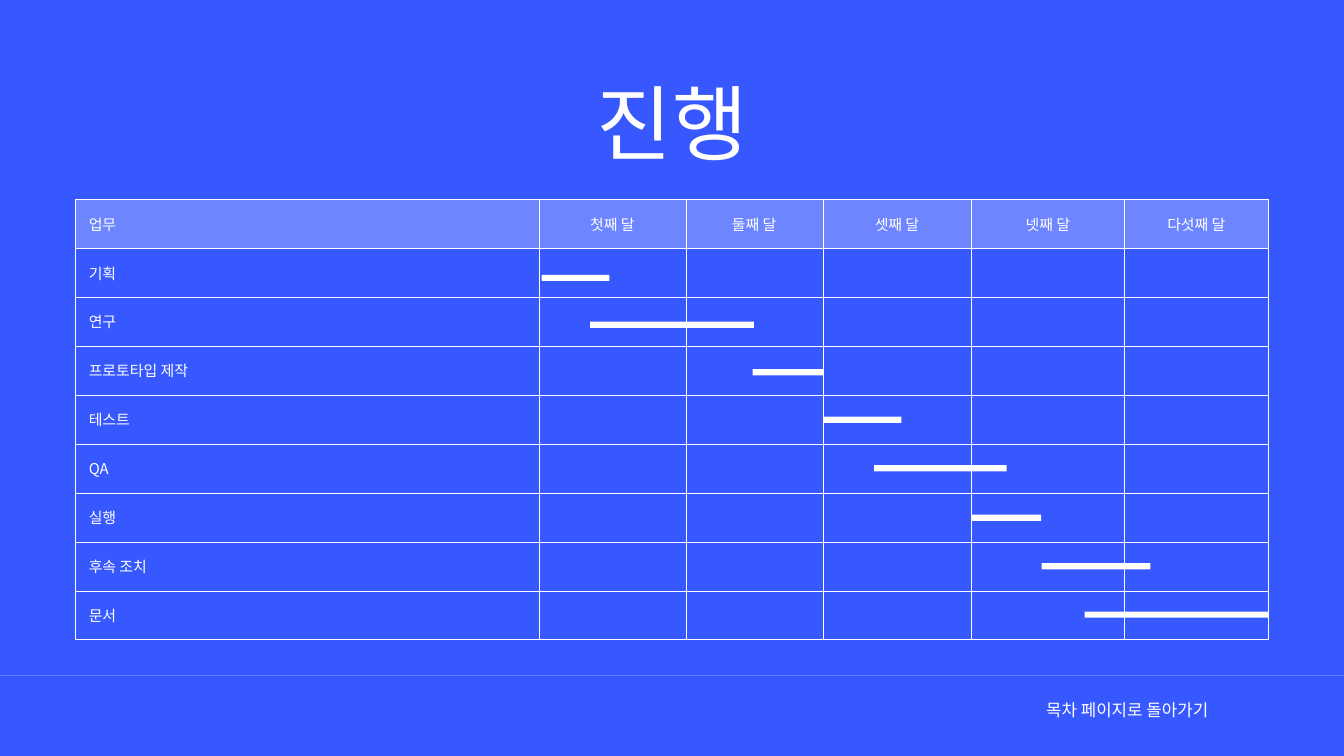
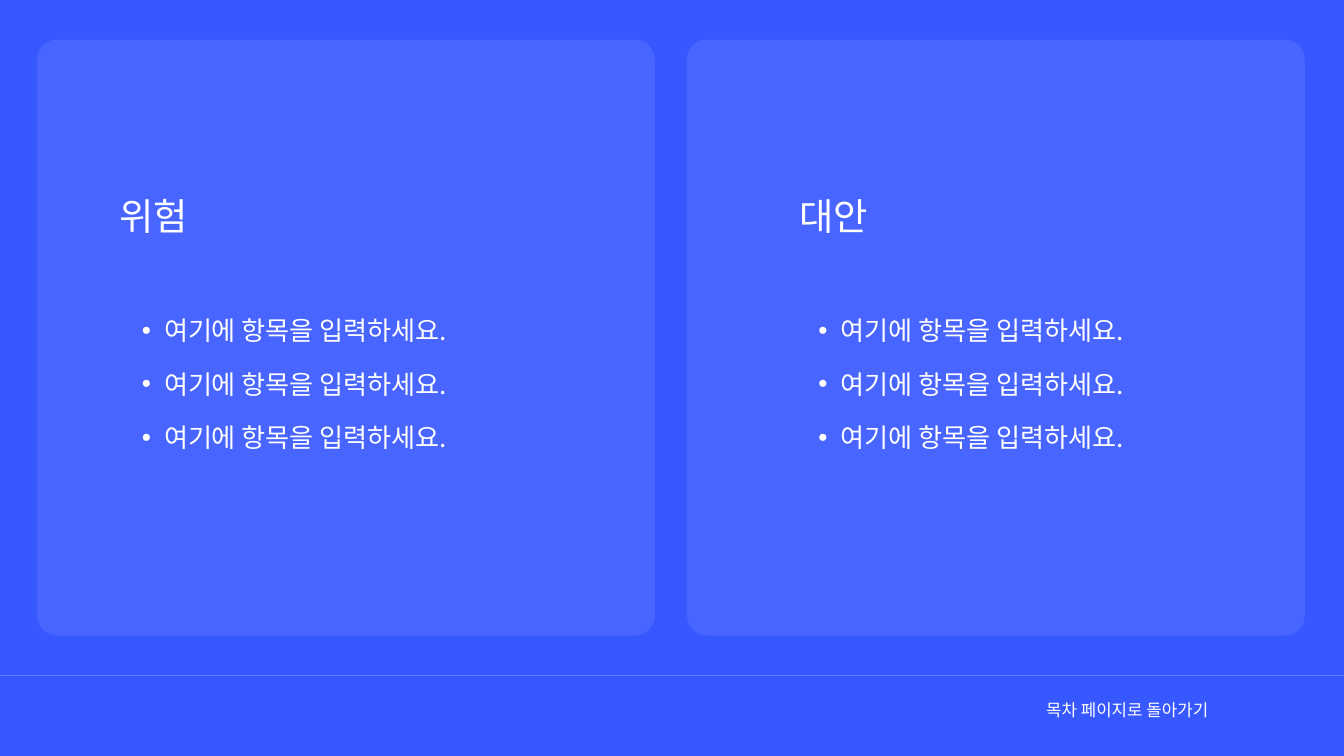
from lxml import etree
from pptx import Presentation
from pptx.dml.color import RGBColor
from pptx.enum.shapes import MSO_CONNECTOR, MSO_SHAPE
from pptx.enum.text import MSO_ANCHOR, MSO_AUTO_SIZE, PP_ALIGN
from pptx.oxml.ns import qn
from pptx.util import Pt

LEFT, CENTER, RIGHT = PP_ALIGN.LEFT, PP_ALIGN.CENTER, PP_ALIGN.RIGHT
MIDDLE, TOP = MSO_ANCHOR.MIDDLE, MSO_ANCHOR.TOP
GROW = MSO_AUTO_SIZE.SHAPE_TO_FIT_TEXT
STRAIGHT = MSO_CONNECTOR.STRAIGHT
RECTANGLE, ROUNDED = MSO_SHAPE.RECTANGLE, MSO_SHAPE.ROUNDED_RECTANGLE

COLORS = {
    name: RGBColor.from_string(value)
    for name, value in {"blue": "3858FF", "light": "6D85FF", "white": "FFFFFF"}.items()
}
MAIN_FONT = "Calibri"
KOREAN_FONT = "Noto Sans CJK KR"


def style_text(paragraph, size, spacing, alignment=LEFT, font_name=MAIN_FONT):
    paragraph.alignment = alignment
    paragraph.line_spacing = Pt(spacing)
    for run in paragraph.runs:
        run.font.size = Pt(size)
        run.font.bold = False
        run.font.name = font_name
        run.font.color.rgb = COLORS["white"]
        east_asian = etree.Element(qn("a:ea"), typeface=KOREAN_FONT)
        run.font._element.find(qn("a:latin")).addnext(east_asian)


def place_text(shape, left, top, width, height):
    shape.left, shape.top, shape.width, shape.height = Pt(left), Pt(top), Pt(width), Pt(height)
    frame = shape.text_frame
    frame.margin_left = frame.margin_top = frame.margin_right = frame.margin_bottom = 0
    frame.word_wrap = True
    frame.vertical_anchor = TOP
    frame.auto_size = GROW
    return frame


presentation = Presentation()
presentation.slide_width, presentation.slide_height = Pt(1440), Pt(810)
background = presentation.slide_master.background.fill
background.solid()
background.fore_color.rgb = COLORS["blue"]

schedule_slide = presentation.slides.add_slide(presentation.slide_layouts.get_by_name("Title Only"))
risk_slide = presentation.slides.add_slide(presentation.slide_layouts.get_by_name("Comparison"))

for slide in presentation.slides:
    rule = slide.shapes.add_connector(STRAIGHT, 0, Pt(723.6), Pt(1440), Pt(723.6))
    rule.line.width = Pt(0.75)
    rule.line.color.rgb = COLORS["white"]
    rule_color = next(rule._element.iter(qn("a:srgbClr")))
    etree.SubElement(rule_color, qn("a:alpha"), val="34000")
    etree.SubElement(rule._element.spPr, qn("a:effectLst"))
    footer = place_text(slide.shapes.add_textbox(0, 0, 0, 0), 1050.5, 746.6, 244, 25.2)
    footer.text = "목차 페이지로 돌아가기"
    style_text(footer.paragraphs[0], 18, 25.2, RIGHT)

title = place_text(schedule_slide.shapes.title, 380.9, 68.4, 679, 115.2)
title.text = "진행"
style_text(title.paragraphs[0], 88, 114.4, CENTER)

headers = ["업무", "첫째 달", "둘째 달", "셋째 달", "넷째 달", "다섯째 달"]
tasks = ["기획", "연구", "프로토타입 제작", "테스트", "QA", "실행", "후속 조치", "문서"]
column_widths = [497, 157, 146.8, 159.2, 164, 154.4]
row_height = 52.4
row_count, column_count = len(tasks) + 1, len(headers)
table = schedule_slide.shapes.add_table(
    row_count, column_count, Pt(80.7), Pt(213.8),
    Pt(sum(column_widths)), Pt(row_height * row_count),
).table
table.first_row = table.horz_banding = False
for column, width in zip(table.columns, column_widths):
    column.width = Pt(width)

for row_index in range(row_count):
    table.rows[row_index].height = Pt(row_height)
    for column_index in range(column_count):
        cell = table.cell(row_index, column_index)
        outer_edges = {
            "a:lnL": column_index == 0,
            "a:lnR": column_index == column_count - 1,
            "a:lnT": row_index == 0,
            "a:lnB": row_index == row_count - 1,
        }
        properties = cell._tc.get_or_add_tcPr()
        for tag, is_outer in outer_edges.items():
            border = etree.SubElement(properties, qn(tag), w=str(Pt(0.69 if is_outer else 0.4)))
            border_fill = etree.SubElement(border, qn("a:solidFill"))
            etree.SubElement(border_fill, qn("a:srgbClr"), val=str(COLORS["white"]))
        cell.fill.solid()
        cell.fill.fore_color.rgb = COLORS["light" if row_index == 0 else "blue"]
        if row_index > 0 and column_index > 0:
            continue
        label = headers[column_index] if row_index == 0 else tasks[row_index - 1]
        cell.text_frame.text = label
        cell.vertical_anchor = MIDDLE
        cell.margin_left = cell.margin_right = cell.margin_top = cell.margin_bottom = Pt(14.4)
        style_text(
            cell.text_frame.paragraphs[0], 16, 22.4,
            CENTER if column_index else LEFT,
            KOREAN_FONT if label == "QA" else MAIN_FONT,
        )

task_bars = [
    (580.3, 294.5, 72.7),
    (632.2, 344.6, 175.7),
    (806.4, 395.5, 75.6),
    (882, 446.4, 83.8),
    (936.7, 498.4, 141.8),
    (1040.6, 551.5, 75),
    (1116, 603.4, 116.6),
    (1162.1, 655.2, 197),
]
for left, top, width in task_bars:
    bar = schedule_slide.shapes.add_shape(RECTANGLE, Pt(left), Pt(top), Pt(width), Pt(6.6))
    bar.shadow.inherit = False
    bar.fill.solid()
    bar.fill.fore_color.rgb = COLORS["white"]
    bar.line.fill.background()

title_element = risk_slide.shapes.title._element
title_element.getparent().remove(title_element)
panels = [
    ("위험", 39.6, 128.2, 128.2, 1),
    ("대안", 736, 856.8, 853.2, 3),
]
for heading, card_left, heading_left, list_left, placeholder_index in panels:
    card = risk_slide.shapes.add_shape(ROUNDED, Pt(card_left), Pt(42.4), Pt(662), Pt(638.6))
    card.shadow.inherit = False
    card.adjustments[0] = 21.4 / 638.6
    card.fill.solid()
    card.fill.fore_color.rgb = COLORS["light"]
    card.line.fill.background()
    card_color = next(card._element.iter(qn("a:srgbClr")))
    etree.SubElement(card_color, qn("a:alpha"), val="30000")
    risk_slide.shapes._spTree.insert(2, card._element)

    heading_shape = risk_slide.placeholders[placeholder_index]
    heading_frame = place_text(heading_shape, heading_left, 215.3, 462, 42.5)
    heading_frame.text = heading
    heading_frame.paragraphs[0].space_before = 0
    style_text(heading_frame.paragraphs[0], 40, 40)

    list_shape = risk_slide.placeholders[placeholder_index + 1]
    list_frame = place_text(list_shape, list_left, 331.2, 462, 154.4)
    list_frame.text = "\n".join(["여기에 항목을 입력하세요."] * 3)
    for item_index, paragraph in enumerate(list_frame.paragraphs):
        paragraph.level = 1
        paragraph_properties = paragraph._p.get_or_add_pPr()
        paragraph_properties.set("marL", str(Pt(47.5)))
        paragraph_properties.set("indent", str(-Pt(23.75)))
        etree.SubElement(paragraph_properties, qn("a:buFont"), typeface="Arial")
        etree.SubElement(paragraph_properties, qn("a:buChar"), char="•")
        paragraph.space_before = Pt(18.4 if item_index else 0)
        style_text(paragraph, 28, 39.2, font_name=KOREAN_FONT)

presentation.save("out.pptx")
